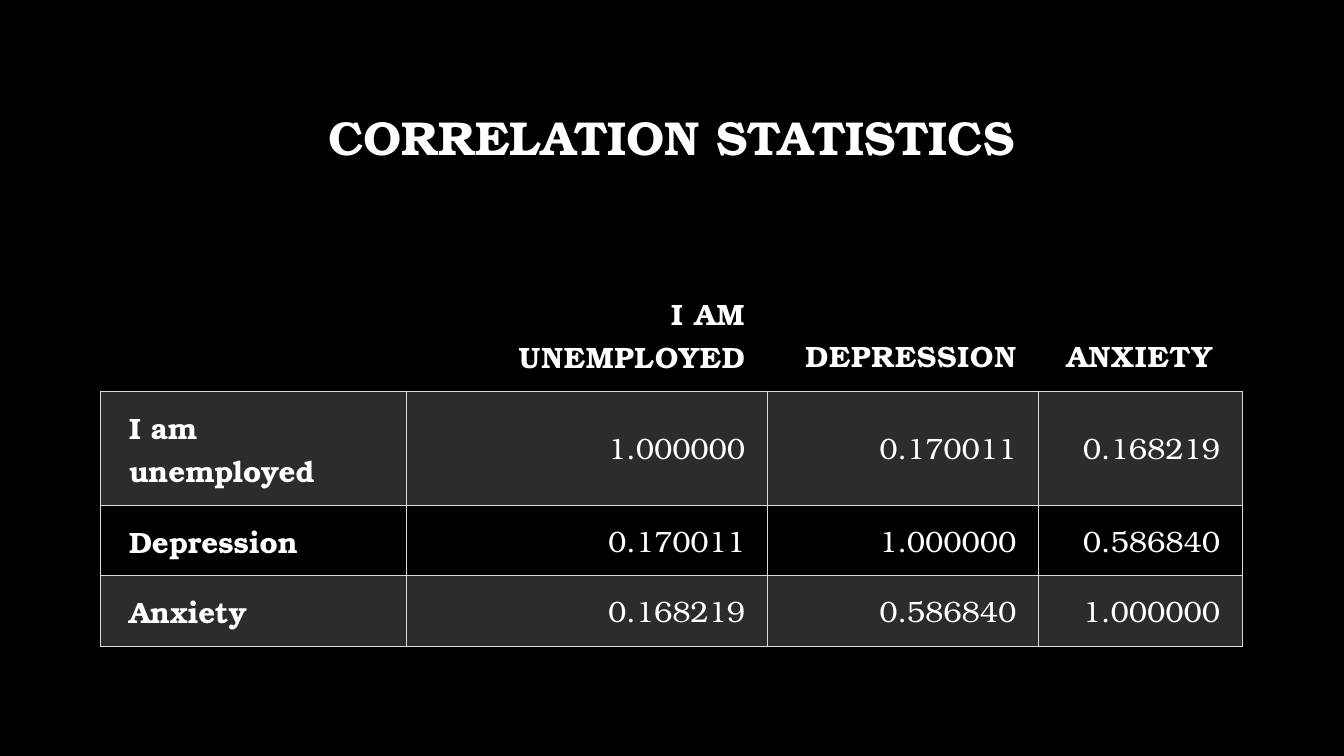
"""Builds a slide with a correlation table on a black background."""
from pptx import Presentation
from pptx import util as u
from pptx.dml.color import RGBColor
from pptx.enum import text
from pptx.oxml import parse_xml
from pptx.oxml.ns import nsdecls, qn

FONT = "TeX Gyre Bonum"
BLACK, WHITE, BORDER, BAND = "000000", "FFFFFF", "D8DCDC", "D8DEDC"
NO_STYLE = "{2D5ABB26-0587-4C30-8999-92F81FD0307C}"
LEFT, RIGHT, CENTER = text.PP_ALIGN.LEFT, text.PP_ALIGN.RIGHT, text.PP_ALIGN.CENTER
MIDDLE, BOTTOM = text.MSO_ANCHOR.MIDDLE, text.MSO_ANCHOR.BOTTOM

TITLE = "CORRELATION STATISTICS"
ROWS = [
    ["", "I AM UNEMPLOYED", "DEPRESSION", "ANXIETY"],
    ["I am unemployed", "1.000000", "0.170011", "0.168219"],
    ["Depression", "0.170011", "1.000000", "0.586840"],
    ["Anxiety", "0.168219", "0.586840", "1.000000"],
]
COLUMN_WIDTHS = [3.03, 3.58, 2.69, 2.02]
ROW_HEIGHTS = [1.13, 1.13, 0.7, 0.7]
MARGIN, TABLE_TOP = 1, 2.75


def color(value):
    return RGBColor.from_string(value)


def write(frame, words, size=21, bold=False, align=LEFT, line_spacing=None, tracking=0):
    frame.word_wrap = True
    paragraph = frame.paragraphs[0]
    paragraph.alignment = align
    paragraph.line_spacing = line_spacing
    run = paragraph.add_run()
    run.text = words
    run.font.name, run.font.size, run.font.bold = FONT, u.Pt(size), bold
    run.font.color.rgb = color(WHITE)
    if tracking:
        run.font._element.set("spc", str(round(tracking * 100)))


def add_borders(cell, sides):
    properties = cell._tc.get_or_add_tcPr()
    for index, side in enumerate(sides):
        properties.insert(index, parse_xml(
            f'<a:ln{side} {nsdecls("a")} w="{u.Pt(0.75)}"><a:solidFill>'
            f'<a:srgbClr val="{BORDER}"/></a:solidFill></a:ln{side}>'))


def fill_band(cell):
    cell.fill.solid()
    cell.fill.fore_color.rgb = color(BAND)
    shade = next(cell._tc.tcPr.iter(qn("a:srgbClr")))
    shade.append(parse_xml(f'<a:alpha {nsdecls("a")} val="20000"/>'))


def add_title(slide):
    shape = slide.shapes.add_textbox(
        u.Inches(MARGIN), u.Inches(0.66), u.Inches(sum(COLUMN_WIDTHS)), u.Inches(1.45))
    shape.text_frame.vertical_anchor = MIDDLE
    write(shape.text_frame, TITLE, size=34, bold=True, align=CENTER, line_spacing=0.9)


def add_correlations(slide):
    table = slide.shapes.add_table(
        len(ROWS), len(COLUMN_WIDTHS), u.Inches(MARGIN), u.Inches(TABLE_TOP),
        u.Inches(sum(COLUMN_WIDTHS)), u.Inches(sum(ROW_HEIGHTS))).table
    table.horz_banding = False
    table._tbl.tblPr.find(qn("a:tableStyleId")).text = NO_STYLE
    for column, width in zip(table.columns, COLUMN_WIDTHS):
        column.width = u.Inches(width)
    for row, height in zip(table.rows, ROW_HEIGHTS):
        row.height = u.Inches(height)
    for r, values in enumerate(ROWS):
        for c, value in enumerate(values):
            cell = table.cell(r, c)
            header = r == 0
            cell.margin_left, cell.margin_right = u.Inches(0.28), u.Inches(0.22)
            cell.margin_top = cell.margin_bottom = u.Inches(0.14)
            cell.vertical_anchor = BOTTOM if header else MIDDLE
            if r % 2:
                fill_band(cell)
            else:
                cell.fill.background()
            add_borders(cell, "B" if header else "LRTB")
            if value:
                write(cell.text_frame, value, bold=header or c == 0,
                      align=LEFT if c == 0 or value == "ANXIETY" else RIGHT,
                      tracking=0.6 if header else 0)


def main():
    presentation = Presentation()
    presentation.slide_width, presentation.slide_height = u.Inches(13.33), u.Inches(7.5)
    slide = presentation.slides.add_slide(presentation.slide_layouts[6])
    slide.background.fill.solid()
    slide.background.fill.fore_color.rgb = color(BLACK)
    add_title(slide)
    add_correlations(slide)
    presentation.save("out.pptx")


if __name__ == "__main__":
    main()
